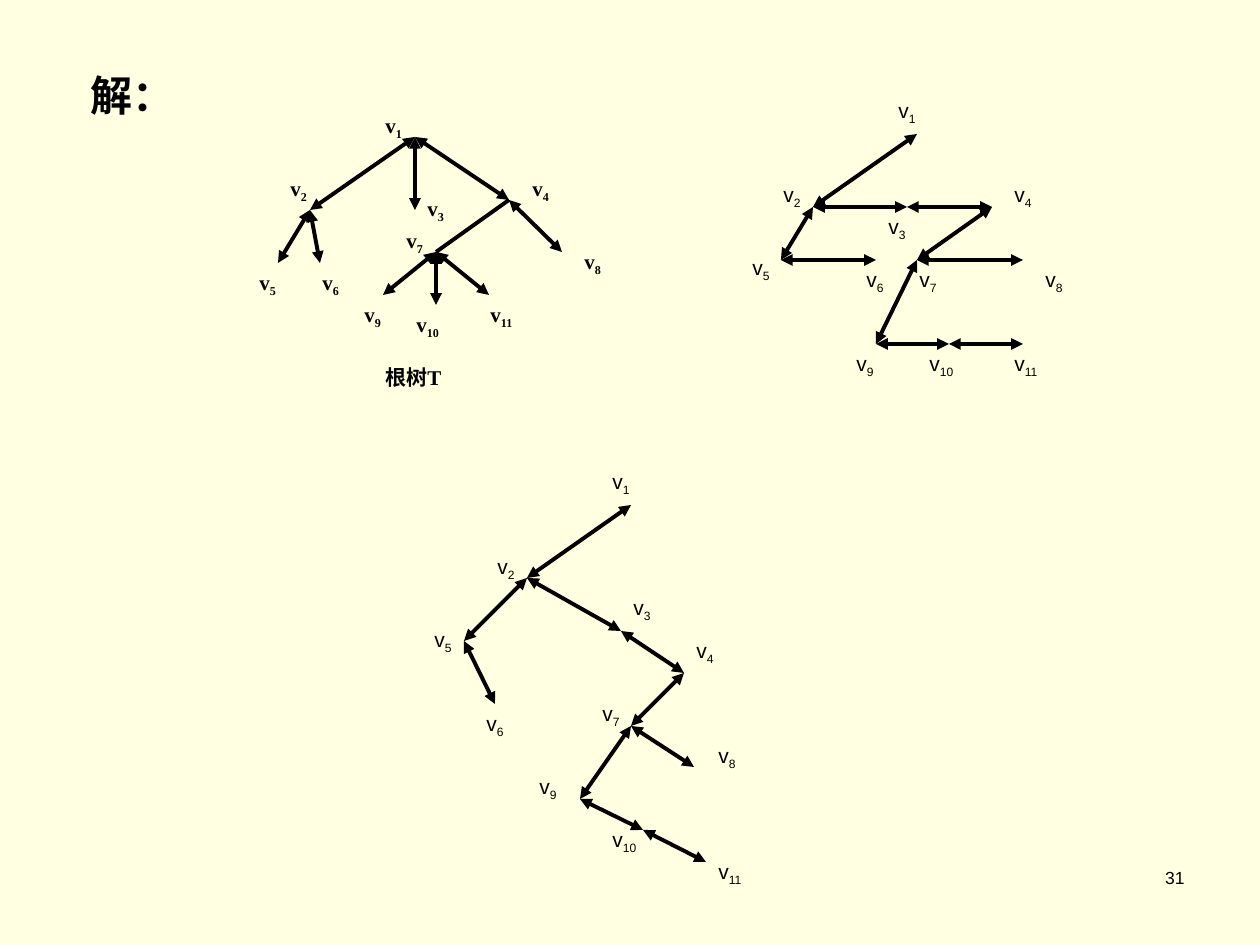
from lxml.etree import SubElement
from pptx import Presentation
from pptx.dml.color import RGBColor
from pptx.enum.shapes import MSO_CONNECTOR
from pptx.enum.text import PP_ALIGN
from pptx.oxml.ns import qn
from pptx.util import Pt

PX = 914400 / 126
COLORS = {"back": "FFFFE1", "ink": "000000"}
CHAIN = [(1, 2), (2, 5), (2, 3), (3, 4), (4, 7), (5, 6), (7, 8), (7, 9), (9, 10), (10, 11)]

ROOTED = {
    "font": "Times New Roman", "bold": True,
    "nodes": [(415, 137), (310, 210), (415, 210), (509, 200), (278, 263), (320, 263),
              (436, 252), (562, 252), (383, 295), (436, 305), (489, 295)],
    "labels": [(373, 106), (278, 169), (415, 189), (520, 169), (247, 263), (310, 263),
               (394, 221), (572, 242), (352, 295), (404, 305), (478, 295)],
    "edges": [(1, 2), (1, 3), (1, 4), (2, 5), (2, 6), (4, 7), (4, 8), (7, 9), (7, 10), (7, 11)],
    "plain": [(4, 7)],
    "title": ("根树T", 373, 358, 105, 38),
}
LINKED = {
    "font": "Arial", "bold": False,
    "nodes": [(917, 134), (813, 207), (907, 207), (992, 207), (781, 260), (876, 260),
              (917, 260), (1023, 260), (876, 344), (949, 344), (1023, 344)],
    "labels": [(886, 91), (771, 175), (876, 207), (1002, 175), (740, 248), (854, 260),
               (907, 260), (1033, 260), (844, 344), (917, 344), (1002, 344)],
    "edges": CHAIN, "plain": [],
}
BINARY = {
    "font": "Arial", "bold": False,
    "nodes": [(631, 505), (527, 578), (621, 631), (684, 673), (464, 641), (495, 704),
              (631, 726), (694, 767), (580, 799), (643, 830), (706, 862)],
    "labels": [(600, 462), (485, 547), (621, 588), (684, 631), (422, 620), (474, 704),
               (590, 694), (706, 736), (527, 767), (600, 820), (706, 852)],
    "edges": CHAIN, "plain": [],
}


def emu(*vals):
    return [round(v * PX) for v in vals]


def color(name):
    return RGBColor.from_string(COLORS[name])


def write(shapes, text, box, size, font="Arial", bold=False, sub="", align=PP_ALIGN.LEFT):
    frame = shapes.add_textbox(*emu(*box)).text_frame
    frame.word_wrap = True
    para = frame.paragraphs[0]
    para.alignment = align
    para.font.name = font
    para.font.size = Pt(size)
    para.font.bold = bold
    para.font.color.rgb = color("ink")
    para.add_run().text = text
    if sub:
        run = para.add_run()
        run.text = sub
        run.font._element.set("baseline", "-25000")


def connect(shapes, start, end, heads):
    link = shapes.add_connector(MSO_CONNECTOR.STRAIGHT, *emu(*start, *end))
    link.line.width = Pt(2.25)
    link.line.color.rgb = color("ink")
    if heads:
        for tag in ("a:headEnd", "a:tailEnd"):
            SubElement(link.line._ln, qn(tag), type="triangle")
    SubElement(link._element.spPr, qn("a:effectLst"))


def draw(slide, tree):
    shapes = slide.shapes.add_group_shape().shapes
    nodes = tree["nodes"]
    for edge in tree["edges"]:
        start, end = (nodes[n - 1] for n in edge)
        connect(shapes, start, end, edge not in tree["plain"])
    style = {"font": tree["font"], "bold": tree["bold"]}
    for num, (x, y) in enumerate(tree["labels"], 1):
        wide = 44 if num < 10 else 73
        write(shapes, "v", (x, y, wide, 42), 12, sub=str(num), **style)
    if "title" in tree:
        text, *box = tree["title"]
        write(shapes, text, box, 12, **style)


def main():
    deck = Presentation()
    deck.slide_width, deck.slide_height = emu(1260, 945)
    slide = deck.slides.add_slide(deck.slide_layouts[6])
    slide.background.fill.solid()
    slide.background.fill.fore_color.rgb = color("back")
    write(slide.shapes, "31", (935, 861, 262, 63), 10, align=PP_ALIGN.RIGHT)
    write(slide.shapes, "解：", (78, 63, 1092, 63), 24, bold=True)
    for tree in (LINKED, BINARY, ROOTED):
        draw(slide, tree)
    deck.save("out.pptx")


if __name__ == "__main__":
    main()
